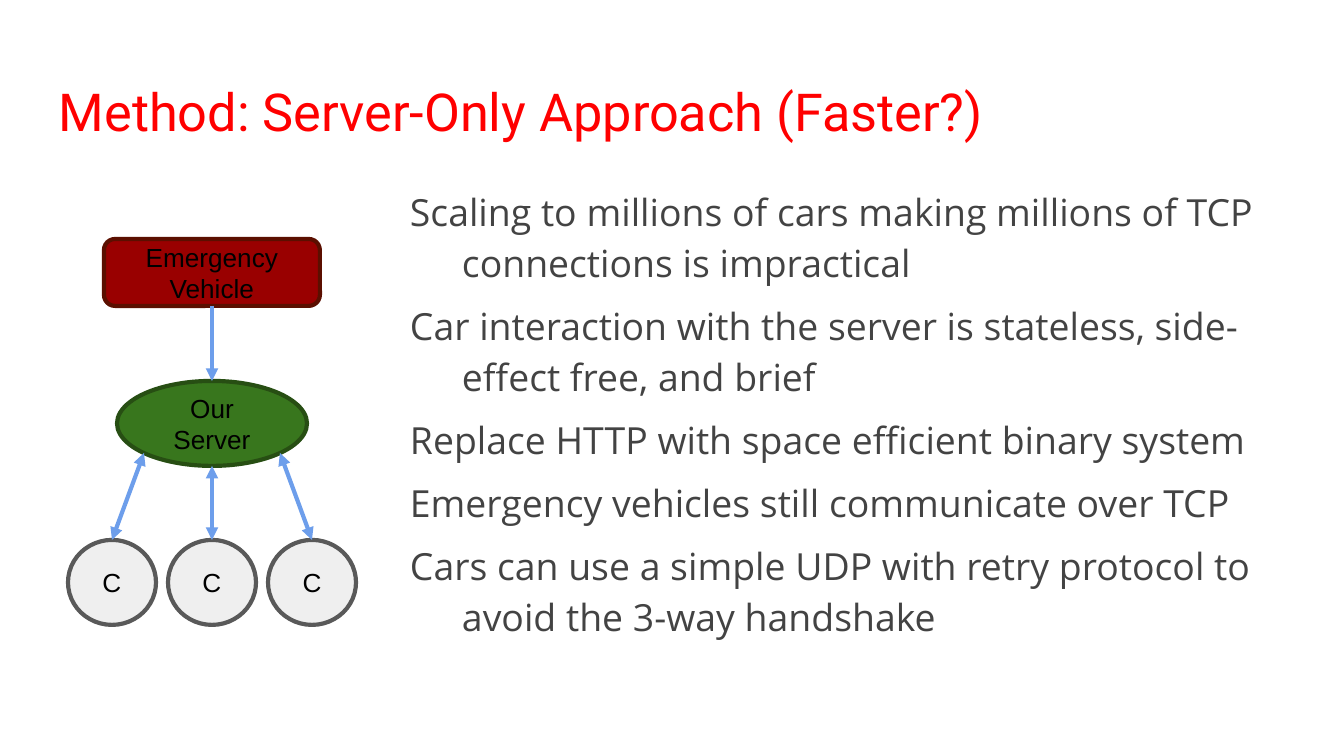
from dataclasses import dataclass
from lxml.etree import SubElement
from pptx import Presentation
from pptx.dml.color import RGBColor
from pptx.enum.shapes import MSO_CONNECTOR, MSO_SHAPE
from pptx.enum.text import MSO_ANCHOR, PP_ALIGN
from pptx.oxml.ns import qn
from pptx.util import Pt

SCALE = 9144000 / 1344


@dataclass(frozen=True)
class Theme:
    title: tuple = ("Roboto", 28, "FF0000")
    body: tuple = ("Open Sans", 20, "434343")
    label: tuple = ("Arial", 14, "000000")
    alarm: tuple = ("990000", "5B0F00")
    server: tuple = ("38761D", "274E13")
    car: tuple = ("EFEFEF", "595959")
    arrow: str = "6D9EEB"
    stroke: float = 2.25


THEME = Theme()
POINTS = [
    "Scaling to millions of cars making millions of TCP connections is impractical",
    "Car interaction with the server is stateless, side-effect free, and brief",
    "Replace HTTP with space efficient binary system",
    "Emergency vehicles still communicate over TCP",
    "Cars can use a simple UDP with retry protocol to avoid the 3-way handshake",
]


def px(count):
    return round(count * SCALE)


def apply(target, values):
    for name, value in values.items():
        setattr(target, name, value)


def write(frame, lines, style, anchor=MSO_ANCHOR.TOP, **format):
    sides = ("left", "top", "right", "bottom")
    apply(frame, {f"margin_{side}": px(13) for side in sides})
    apply(frame, {"word_wrap": True, "vertical_anchor": anchor})
    face, size, color = style
    for index, line in enumerate(lines):
        para = frame.add_paragraph() if index else frame.paragraphs[0]
        run = para.add_run()
        run.text = line
        apply(para, format)
        apply(run.font, {"name": face, "size": Pt(size)})
        run.font.color.rgb = RGBColor.from_string(color)
    return frame


def add_text(slide, box, lines, style, **format):
    shape = slide.shapes.add_textbox(*map(px, box))
    return write(shape.text_frame, lines, style, **format)


def indent(frame, left, first):
    for para in frame.paragraphs:
        props = para._p.get_or_add_pPr()
        props.set("marL", str(px(left)))
        props.set("indent", str(px(first)))


def paint(line, color):
    line.color.rgb = RGBColor.from_string(color)
    line.width = Pt(THEME.stroke)


def add_node(group, kind, box, lines, colors):
    node = group.shapes.add_shape(kind, *map(px, box))
    node.shadow.inherit = False
    fill, edge = colors
    node.fill.solid()
    node.fill.fore_color.rgb = RGBColor.from_string(fill)
    paint(node.line, edge)
    write(node.text_frame, lines, THEME.label, MSO_ANCHOR.MIDDLE,
          alignment=PP_ALIGN.CENTER)


def add_arrow(group, start, end, tips):
    arrow = group.shapes.add_connector(
        MSO_CONNECTOR.STRAIGHT, *map(px, start + end))
    paint(arrow.line, THEME.arrow)
    for tip in tips:
        SubElement(arrow.line._get_or_add_ln(), qn(f"a:{tip}"), type="triangle")
    SubElement(arrow._element.spPr, qn("a:effectLst"))


def add_chart(slide):
    group = slide.shapes.add_group_shape()
    add_node(group, MSO_SHAPE.OVAL, (117, 381, 190, 85), ["Our Server"],
             THEME.server)
    mid, step, wide, top = 212, 100, 88, 540
    cars = [mid + step * side for side in (-1, 0, 1)]
    for car in cars:
        add_node(group, MSO_SHAPE.OVAL, (car - wide // 2, top, wide, 85), ["C"],
                 THEME.car)
    add_node(group, MSO_SHAPE.ROUNDED_RECTANGLE, (104, 239, 216, 67),
             ["Emergency", "Vehicle"], THEME.alarm)
    add_arrow(group, (mid, 306), (mid, 381), ["tailEnd"])
    ports = [(144, 453), (mid, 466), (280, 453)]
    for car, port in zip(cars, ports):
        add_arrow(group, (car, top), port, ["headEnd", "tailEnd"])


def main():
    deck = Presentation()
    apply(deck, {"slide_width": px(1344), "slide_height": px(756)})
    slide = deck.slides.add_slide(deck.slide_layouts[6])
    add_text(slide, (46, 66, 1253, 85),
             ["Method: Server-Only Approach (Faster?)"], THEME.title)
    body = add_text(slide, (382, 169, 933, 503), POINTS, THEME.body,
                    line_spacing=1.15, space_after=Pt(6))
    indent(body, 67, -52)
    add_chart(slide)
    deck.save("out.pptx")


if __name__ == "__main__":
    main()
